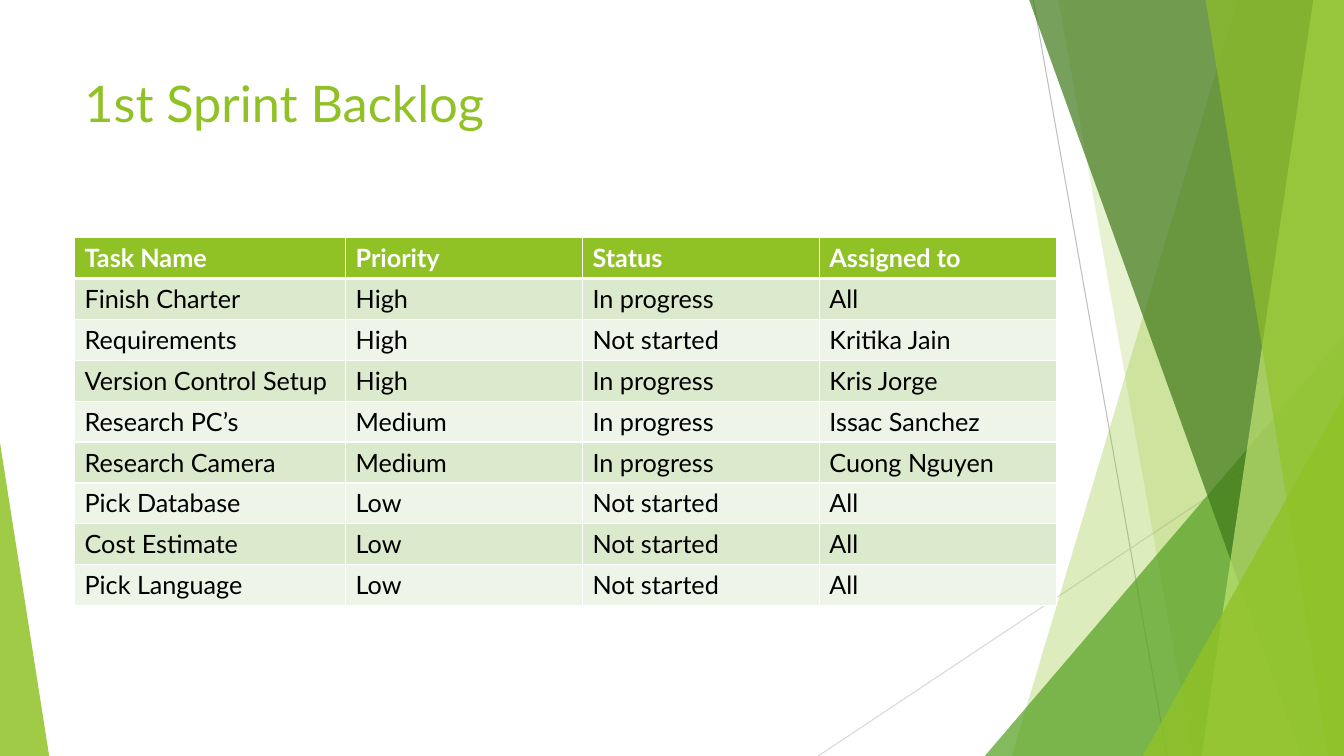
from dataclasses import dataclass

from lxml import etree
from pptx import Presentation
from pptx.dml.color import RGBColor
from pptx.enum import shapes, text
from pptx.oxml import ns
from pptx.util import Cm, Pt


@dataclass(frozen=True)
class Theme:
    """Colours, font and type sizes of the slide."""
    font: str = "Lato"
    title_size: int = 36
    table_size: int = 18
    lime: str = "90C226"
    pale_lime: str = "C0E474"
    green: str = "54A021"
    forest: str = "3F7819"
    white: str = "FFFFFF"
    black: str = "000000"
    bands: tuple = ("DBE9CD", "EEF4E8")
    rays: tuple = ("BFBFBF", "D9D9D9")


THEME = Theme()
TITLE = "1st Sprint Backlog"
HEADINGS = ("Task Name", "Priority", "Status", "Assigned to")
TASKS = [
    ("Finish Charter", "High", "In progress", "All"),
    ("Requirements", "High", "Not started", "Kritika Jain"),
    ("Version Control Setup", "High", "In progress", "Kris Jorge"),
    ("Research PC’s", "Medium", "In progress", "Issac Sanchez"),
    ("Research Camera", "Medium", "In progress", "Cuong Nguyen"),
    ("Pick Database", "Low", "Not started", "All"),
    ("Cost Estimate", "Low", "Not started", "All"),
    ("Pick Language", "Low", "Not started", "All"),
]

# Lengths in centimetres
WIDTH, HEIGHT = 33.87, 19.05
LEFT, TITLE_TOP, TABLE_TOP = 1.88, 1.7, 5.99
COLUMNS, ROW = (6.83, 5.97, 5.97, 5.97), 1.03

# Rays: start x, start y, end x, end y
RAYS = [(26.04, 0, 29.41, HEIGHT), (WIDTH, 10.24, 20.62, HEIGHT)]

# Facets, back to front. A band runs to the right edge from its top x and
# bottom x; a wedge has a left, top, width and the side of its apex.
FACETS = [
    ("band", (31.19, 25.5), THEME.lime, 30),
    ("band", (26.67, 30.05), THEME.lime, 20),
    ("wedge", (24.82, 8.46, 9.05, 1), THEME.green, 72),
    ("band", (25.93, 32.79), THEME.forest, 70),
    ("band", (33.1, 30.28), THEME.pale_lime, 70),
    ("band", (30.38, 33.48), THEME.lime, 65),
    ("wedge", (28.8, 9.98, 5.07, 1), THEME.lime, 80),
    ("wedge", (0, 11.15, 1.24, 0), THEME.lime, 85),
]


def rgb(colour):
    """Turn a hex string into a colour."""
    return RGBColor.from_string(colour)


def add_ray(slide, ends, colour):
    """Draw a thin straight line without a shadow."""
    ray = slide.shapes.add_connector(
        shapes.MSO_CONNECTOR.STRAIGHT, *(Cm(end) for end in ends))
    ray.line.color.rgb = rgb(colour)
    ray.line.width = Pt(0.75)
    etree.SubElement(ray.line._get_or_add_ln().getparent(), ns.qn("a:effectLst"))


def band(slide, top_x, bottom_x):
    """Outline a full-height facet that ends at the right edge."""
    outline = slide.shapes.build_freeform(Cm(top_x), Cm(-0.02))
    corners = [(WIDTH, -0.02), (WIDTH, HEIGHT), (bottom_x, HEIGHT)]
    outline.add_line_segments([(Cm(x), Cm(y)) for x, y in corners], close=True)
    return outline.convert_to_shape()


def wedge(slide, left, top, width, apex):
    """Place a right triangle that stands on the bottom edge."""
    triangle = slide.shapes.add_shape(
        shapes.MSO_SHAPE.ISOSCELES_TRIANGLE,
        Cm(left), Cm(top), Cm(width), Cm(HEIGHT - top))
    triangle.adjustments[0] = apex
    return triangle


def add_facet(slide, kind, geometry, colour, opacity):
    """Draw one translucent facet."""
    facet = {"band": band, "wedge": wedge}[kind](slide, *geometry)
    facet.shadow.inherit = False
    facet.line.fill.background()
    facet.fill.solid()
    facet.fill.fore_color.rgb = rgb(colour)
    tint = next(facet._element.spPr.iter(ns.qn("a:srgbClr")))
    etree.SubElement(tint, ns.qn("a:alpha"), val=str(opacity * 1000))


def style(frame, size, colour, bold=False):
    """Format every run in a text frame."""
    for paragraph in frame.paragraphs:
        for run in paragraph.runs:
            run.font.name = THEME.font
            run.font.size = Pt(size)
            run.font.bold = bold
            run.font.color.rgb = rgb(colour)


def add_title(slide):
    """Write the slide title."""
    title = slide.shapes.add_textbox(Cm(LEFT), Cm(TITLE_TOP), Cm(23.88), Cm(3.66))
    frame = title.text_frame
    frame.word_wrap = True
    frame.vertical_anchor = text.MSO_ANCHOR.TOP
    frame.text = TITLE
    style(frame, THEME.title_size, THEME.lime)


def add_borders(cell, weights):
    """Give a cell white borders; weights maps sides to points."""
    properties = cell._tc.get_or_add_tcPr()
    for place, (side, weight) in enumerate(weights.items()):
        border = etree.Element(ns.qn(f"a:ln{side}"), w=str(Pt(weight)))
        fill = etree.SubElement(border, ns.qn("a:solidFill"))
        etree.SubElement(fill, ns.qn("a:srgbClr"), val=THEME.white)
        properties.insert(place, border)


def add_backlog(slide):
    """Build the backlog table with a heading row and banded tasks."""
    rows = [HEADINGS, *TASKS]
    backlog = slide.shapes.add_table(
        len(rows), len(COLUMNS), Cm(LEFT), Cm(TABLE_TOP),
        Cm(sum(COLUMNS)), Cm(ROW * len(rows))).table
    for column, width in zip(backlog.columns, COLUMNS):
        column.width = Cm(width)
    for r, values in enumerate(rows):
        heading = r == 0
        backlog.rows[r].height = Cm(ROW)
        for c, value in enumerate(values):
            cell = backlog.cell(r, c)
            cell.text_frame.text = value
            style(cell.text_frame, THEME.table_size,
                  THEME.white if heading else THEME.black, heading)
            cell.fill.solid()
            cell.fill.fore_color.rgb = rgb(
                THEME.lime if heading else THEME.bands[(r - 1) % 2])
            add_borders(cell, {"L": 1, "R": 1, "T": 3 if r == 1 else 1,
                               "B": 3 if heading else 1})


def main():
    """Assemble and save the slide."""
    deck = Presentation()
    deck.slide_width, deck.slide_height = Cm(WIDTH), Cm(HEIGHT)
    slide = deck.slides.add_slide(deck.slide_layouts[6])
    for ends, colour in zip(RAYS, THEME.rays):
        add_ray(slide, ends, colour)
    for facet in FACETS:
        add_facet(slide, *facet)
    add_title(slide)
    add_backlog(slide)
    deck.save("out.pptx")


main()
